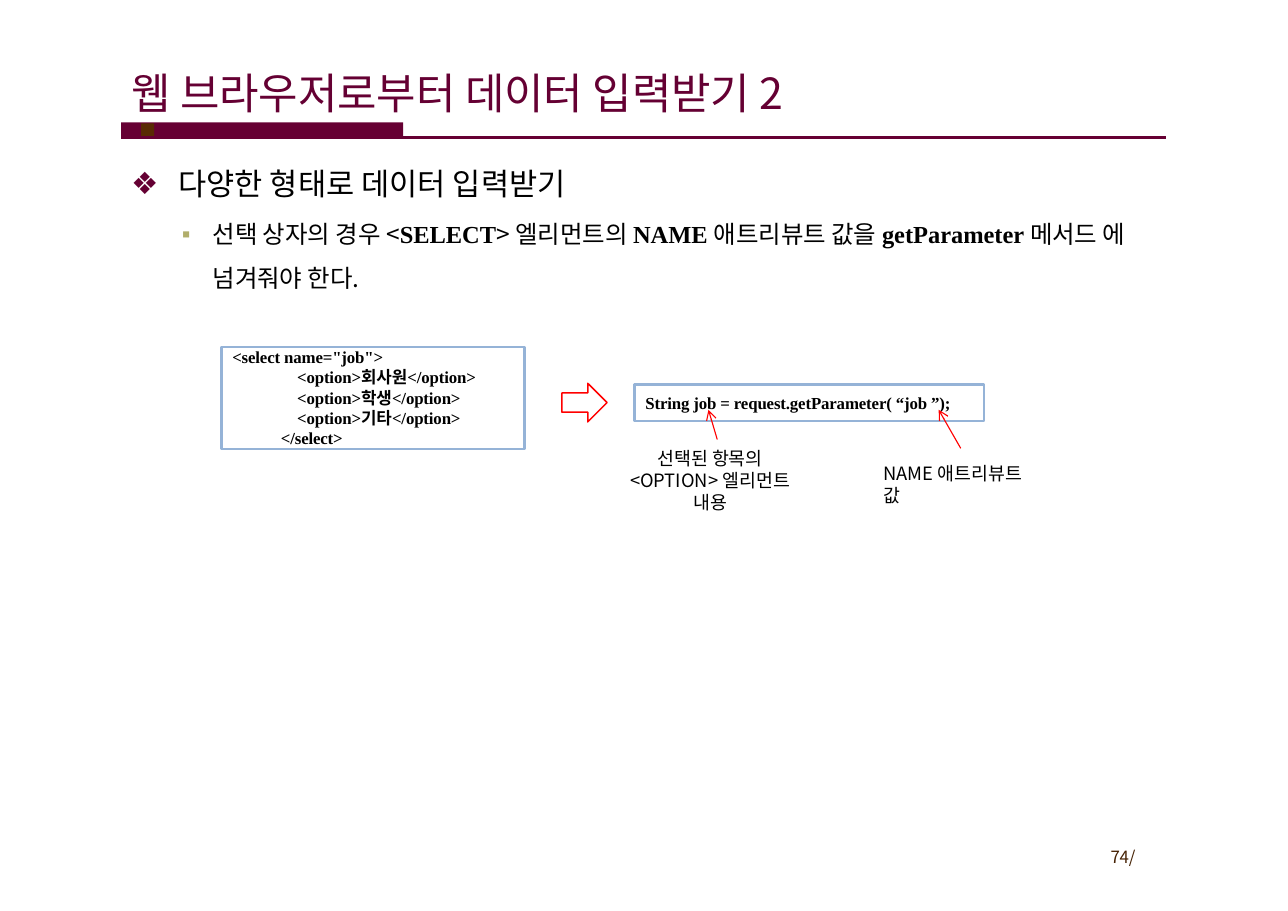
"""Build the slide on reading a select box value with getParameter."""
from lxml import etree
from pptx import Presentation
from pptx.dml.color import RGBColor
from pptx.enum.shapes import MSO_CONNECTOR, MSO_SHAPE
from pptx.enum.text import MSO_ANCHOR, MSO_AUTO_SIZE, PP_ALIGN
from pptx.oxml.ns import qn
from pptx.util import Inches, Pt

RECTANGLE, RIGHT_ARROW = MSO_SHAPE.RECTANGLE, MSO_SHAPE.RIGHT_ARROW
STRAIGHT = MSO_CONNECTOR.STRAIGHT
TOP, MIDDLE = MSO_ANCHOR.TOP, MSO_ANCHOR.MIDDLE
LEFT, CENTER = PP_ALIGN.LEFT, PP_ALIGN.CENTER
NO_AUTOSIZE = MSO_AUTO_SIZE.NONE

COLORS = {"wine": "660033", "title": "650033", "brown": "592A03", "olive": "B1AE6B",
          "box": "95B3D7", "red": "FF0000", "black": "000000", "page": "452103"}
KOREAN, LATIN = "Noto Sans CJK KR", "Times New Roman"

STYLES = {
    "title": {"name": KOREAN, "size": Pt(28), "bold": False, "color": "title"},
    "topic": {"name": KOREAN, "size": Pt(20), "bold": False, "color": "black"},
    "detail": {"name": KOREAN, "size": Pt(16), "bold": False, "color": "black"},
    "term": {"name": LATIN, "size": Pt(16), "bold": True, "color": "black"},
    "code": {"name": LATIN, "size": Pt(11), "bold": True, "color": "black"},
    "caption": {"name": KOREAN, "size": Pt(12), "bold": False, "color": "black"},
    "page": {"name": KOREAN, "size": Pt(11), "bold": False, "color": "page"},
}
TIGHT_STYLES = ("code", "page")

TITLE = "웹 브라우저로부터 데이터 입력받기 2"
TOPIC = "다양한 형태로 데이터 입력받기"
DETAIL = [
    ("선택 상자의 경우 <", "detail"), ("SELECT", "term"), ("> 엘리먼트의 ", "detail"),
    ("NAME ", "term"), ("애트리뷰트 값을 ", "detail"), ("getParameter ", "term"),
    ("메서드 에 넘겨줘야 한다.", "detail"),
]
SELECT_CODE = [
    '<select name="job">',
    "                <option>회사원</option>",
    "                <option>학생</option>",
    "                <option>기타</option>",
    "            </select>",
]
CALL_CODE = ["String job = request.getParameter( “job ”);"]
CODE_BOXES = [
    ((2.01, 3.15, 2.75, 0.93), SELECT_CODE, TOP),
    ((5.76, 3.49, 3.17, 0.33), CALL_CODE, MIDDLE),
]
LABELS = [
    ((5.6, 4.06, 1.69, 0.6), ["선택된 항목의", "<OPTION> 엘리먼트 내용"], "caption", CENTER),
    ((8.02, 4.2, 1.33, 0.4), ["NAME 애트리뷰트 값"], "caption", LEFT),
    ((10.08, 7.69, 0.43, 0.19), ["74/"], "page", LEFT),
]
BARS = [((1.1, 1.11, 2.56, 0.15), "wine"), ((1.28, 1.12, 0.12, 0.14), "brown")]
POINTERS = [(6.51, 3.99, 6.43, 3.72), (8.72, 4.07, 8.52, 3.72)]


def inches(values):
    return [Inches(value) for value in values]


def rgb(name):
    return RGBColor.from_string(COLORS[name])


def place(shape, box):
    shape.left, shape.top, shape.width, shape.height = inches(box)


def prepare_frame(shape, anchor=TOP, left=0):
    frame = shape.text_frame
    settings = {"word_wrap": True, "auto_size": NO_AUTOSIZE, "vertical_anchor": anchor,
                "margin_left": Inches(left), "margin_top": 0,
                "margin_right": 0, "margin_bottom": 0}
    for key, value in settings.items():
        setattr(frame, key, value)
    return frame


def add_run(paragraph, text, style):
    run = paragraph.add_run()
    run.text = text
    for key, value in STYLES[style].items():
        if key == "color":
            run.font.color.rgb = rgb(value)
        else:
            setattr(run.font, key, value)
    properties = run.font._element
    etree.SubElement(properties, qn("a:ea"), typeface=KOREAN)
    if style in TIGHT_STYLES:
        properties.set("spc", "-10")


def write_lines(frame, lines, style, alignment=LEFT):
    for index, line in enumerate(lines):
        paragraph = frame.add_paragraph() if index else frame.paragraphs[0]
        paragraph.alignment = alignment
        add_run(paragraph, line, style)


def add_bullet(paragraph, character, color, margin, hanging):
    properties = paragraph._p.get_or_add_pPr()
    properties.set("marL", str(Inches(margin)))
    properties.set("indent", str(-Inches(hanging)))
    bullet_color = etree.SubElement(properties, qn("a:buClr"))
    etree.SubElement(bullet_color, qn("a:srgbClr"), val=COLORS[color])
    etree.SubElement(properties, qn("a:buFont"), typeface="Arial")
    etree.SubElement(properties, qn("a:buChar"), char=character)


def add_outline(slide, kind, box, color, width):
    shape = slide.shapes.add_shape(kind, *inches(box))
    shape.shadow.inherit = False
    shape.fill.background()
    shape.line.color.rgb = rgb(color)
    shape.line.width = Pt(width)
    return shape


def add_line(slide, points, color, width, arrow=False):
    connector = slide.shapes.add_connector(STRAIGHT, *inches(points))
    connector.line.color.rgb = rgb(color)
    connector.line.width = Pt(width)
    if arrow:
        etree.SubElement(connector.line._get_or_add_ln(), qn("a:tailEnd"),
                         type="arrow", w="med", len="med")
    etree.SubElement(connector._element.spPr, qn("a:effectLst"))


def add_heading(slide):
    for box, color in BARS:
        bar = slide.shapes.add_shape(RECTANGLE, *inches(box))
        bar.shadow.inherit = False
        bar.fill.solid()
        bar.fill.fore_color.rgb = rgb(color)
        bar.line.fill.background()
    add_line(slide, (1.1, 1.25, 10.58, 1.25), "wine", 1.6)
    title = slide.shapes.title
    place(title, (1.19, 0.61, 9.32, 0.46))
    frame = prepare_frame(title)
    write_lines(frame, [TITLE], "title")
    frame.paragraphs[0].line_spacing = Pt(33)


def add_body(slide):
    body = slide.placeholders[1]
    place(body, (1.18, 1.5, 9.29, 1.2))
    frame = prepare_frame(body)
    topic, detail = frame.paragraphs[0], frame.add_paragraph()
    topic.space_before = Pt(0)
    detail.space_before = Pt(1.8)
    detail.line_spacing = Pt(28.8)
    add_bullet(topic, "❖", "title", 0.44, 0.43)
    add_bullet(detail, "▪", "olive", 0.75, 0.28)
    add_run(topic, TOPIC, "topic")
    for text, style in DETAIL:
        add_run(detail, text, style)


def add_example(slide):
    for box, lines, anchor in CODE_BOXES:
        shape = add_outline(slide, RECTANGLE, box, "box", 1.5)
        write_lines(prepare_frame(shape, anchor, 0.1), lines, "code")
    add_outline(slide, RIGHT_ARROW, (5.1, 3.48, 0.41, 0.35), "red", 1)
    for box, lines, style, alignment in LABELS:
        label = slide.shapes.add_textbox(*inches(box))
        write_lines(prepare_frame(label), lines, style, alignment)
    for points in POINTERS:
        add_line(slide, points, "red", 0.75, arrow=True)


def main():
    presentation = Presentation()
    presentation.slide_width, presentation.slide_height = inches((11.69, 8.27))
    slide = presentation.slides.add_slide(presentation.slide_layouts[1])
    add_heading(slide)
    add_body(slide)
    add_example(slide)
    presentation.save("out.pptx")


if __name__ == "__main__":
    main()
